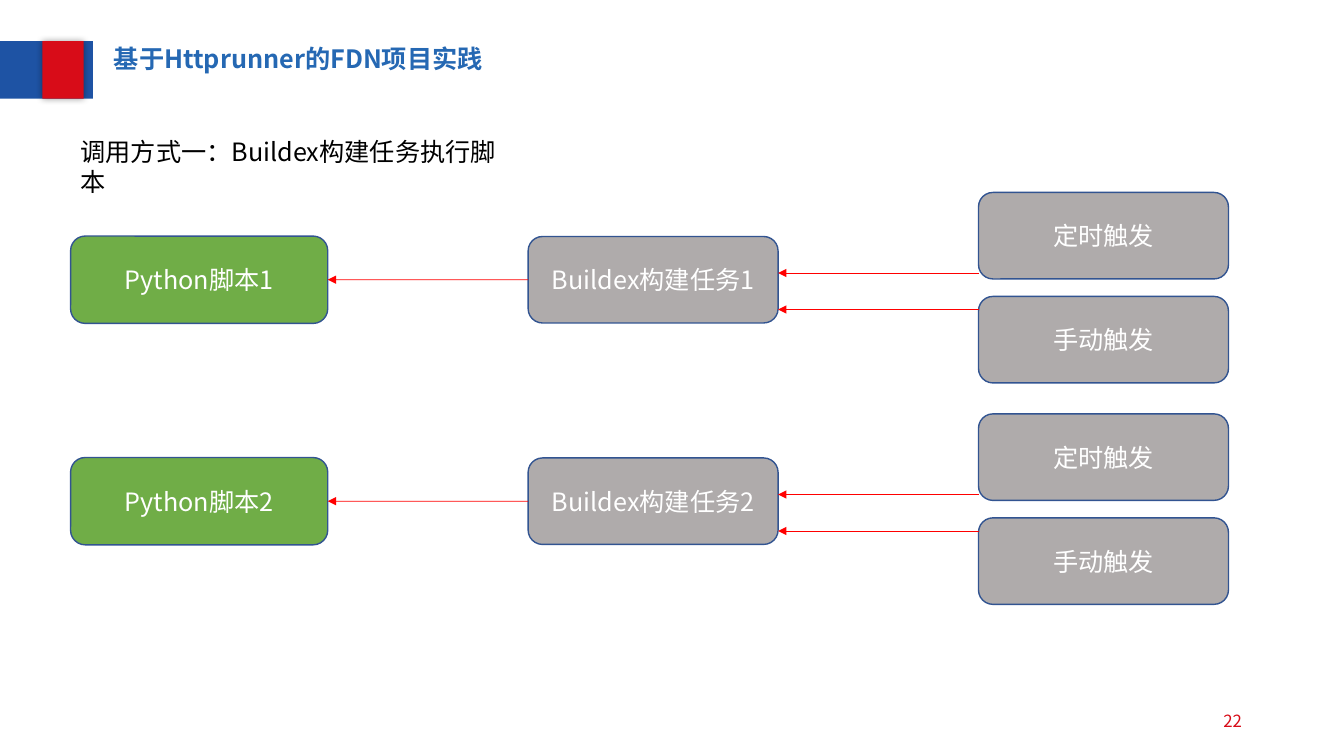
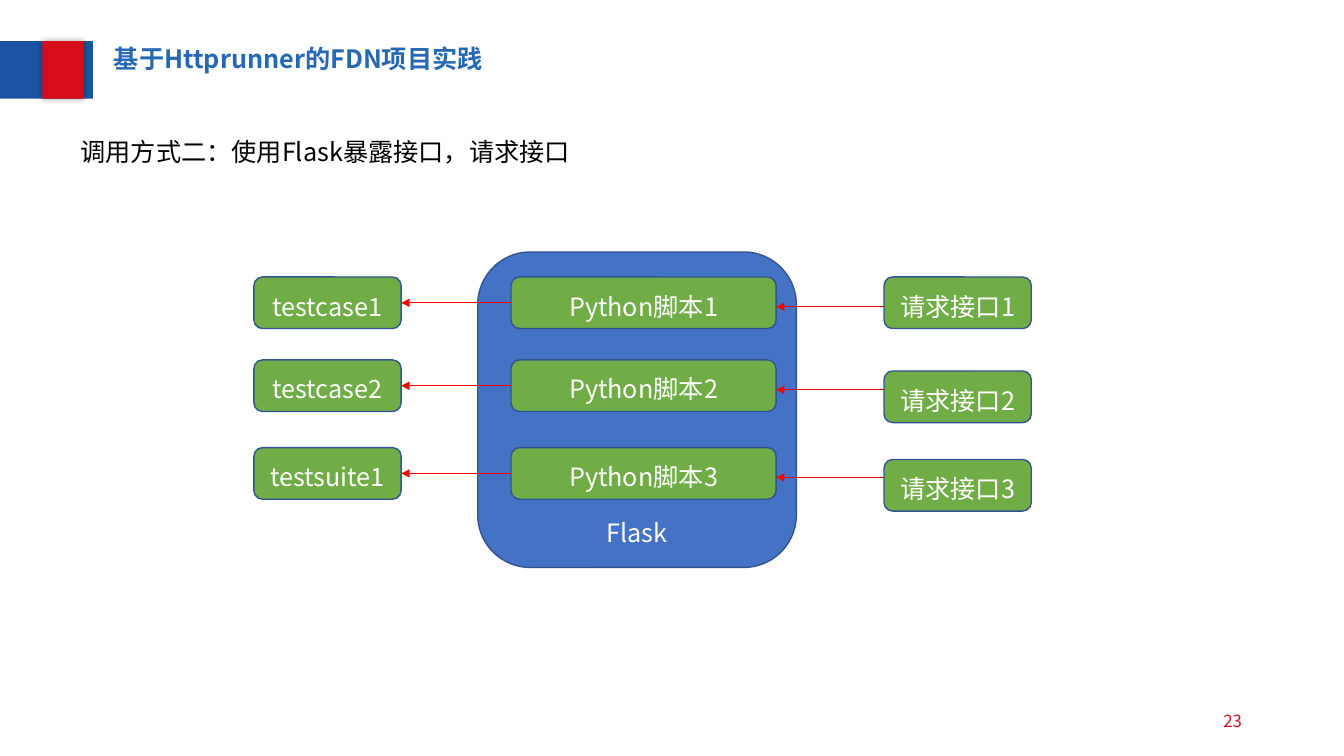
"""Build two slides on ways to call the test scripts of a project."""
import pptx
import pptx.dml.color
import pptx.enum.shapes
import pptx.enum.text
import pptx.oxml
import pptx.oxml.ns
import pptx.util

Cm = pptx.util.Cm
Pt = pptx.util.Pt
Shape = pptx.enum.shapes.MSO_SHAPE
Align = pptx.enum.text.PP_ALIGN
Anchor = pptx.enum.text.MSO_ANCHOR

TITLE = "基于Httprunner的FDN项目实践"
JOB_SLIDE = {
    "number": 22,
    "heading": "调用方式一：Buildex构建任务执行脚本",
    "heading_width": 11.51,
    "rows": [("Python脚本1", "Buildex构建任务1"), ("Python脚本2", "Buildex构建任务2")],
    "triggers": ["定时触发", "手动触发"],
}
SERVICE_SLIDE = {
    "number": 23,
    "heading": "调用方式二：使用Flask暴露接口，请求接口",
    "heading_width": 14.58,
    "service": "Flask",
    "rows": [
        ("testcase1", "Python脚本1", "请求接口1", 6.98, 6.98),
        ("testcase2", "Python脚本2", "请求接口2", 9.07, 9.35),
        ("testsuite1", "Python脚本3", "请求接口3", 11.28, 11.58),
    ],
}
THEME = {
    "font": "Noto Sans CJK SC",
    "body": 18,
    "small": 12,
    "blue": "1E53A4",
    "red": "D80C18",
    "title": "2568B3",
    "text": "000000",
    "white": "FFFFFF",
    "green": "70AD47",
    "gray": "AFABAB",
    "service": "4472C4",
    "outline": "325491",
    "arrow": "FF0000",
}
NAMESPACE = pptx.oxml.ns.nsdecls("a")


def color(name):
    return pptx.dml.color.RGBColor.from_string(THEME[name])


def write(shape, text, ink, size="body", bold=False, align=Align.LEFT, anchor=Anchor.TOP):
    frame = shape.text_frame
    frame.word_wrap = True
    frame.vertical_anchor = anchor
    frame.text = text
    para = frame.paragraphs[0]
    para.alignment = align
    span = para.runs[0]
    span.font.name = THEME["font"]
    span.font.size = Pt(THEME[size])
    span.font.bold = bold
    span.font.color.rgb = color(ink)
    east_asian = pptx.oxml.parse_xml(f'<a:ea {NAMESPACE} typeface="{THEME["font"]}"/>')
    span.font._element.find(pptx.oxml.ns.qn("a:latin")).addnext(east_asian)


def add_text(page, area, text, ink, **style):
    write(page.shapes.add_textbox(*map(Cm, area)), text, ink, **style)


def add_band(page, area, fill):
    band = page.shapes.add_shape(Shape.RECTANGLE, *map(Cm, area))
    band.shadow.inherit = False
    band.fill.solid()
    band.fill.fore_color.rgb = color(fill)
    band.line.fill.background()
    return band


def add_box(page, area, text, fill, anchor=Anchor.MIDDLE):
    box = page.shapes.add_shape(Shape.ROUNDED_RECTANGLE, *map(Cm, area))
    box.shadow.inherit = False
    box.fill.solid()
    box.fill.fore_color.rgb = color(fill)
    box.line.color.rgb = color("outline")
    box.line.width = Pt(1)
    write(box, text, "white", align=Align.CENTER, anchor=anchor)
    return box


def add_arrow(page, start, end, level):
    """Draw an arrow from the left side of start to the right side of end."""
    arrow = page.shapes.add_connector(
        pptx.enum.shapes.MSO_CONNECTOR.STRAIGHT,
        start.left, Cm(level), end.left + end.width, Cm(level))
    arrow.line.color.rgb = color("arrow")
    arrow.line.width = Pt(0.5)
    arrow.line._get_or_add_ln().append(
        pptx.oxml.parse_xml(f'<a:tailEnd {NAMESPACE} type="triangle"/>'))
    arrow._element.spPr.append(pptx.oxml.parse_xml(f"<a:effectLst {NAMESPACE}/>"))
    return arrow


def join(page, start, end, level):
    arrow = add_arrow(page, start, end, level)
    arrow.begin_connect(start, 1)
    arrow.end_connect(end, 3)


def add_page(deck, content):
    page = deck.slides.add_slide(deck.slide_layouts[6])
    add_band(page, (0, 1.04, 2.34, 1.45), "blue")
    accent = add_band(page, (1.07, 1.04, 1.04, 1.45), "red")
    accent._element.spPr.find(pptx.oxml.ns.qn("a:effectLst")).append(pptx.oxml.parse_xml(
        f'<a:outerShdw {NAMESPACE} blurRad="{Pt(5)}" dist="0" dir="0">'
        '<a:srgbClr val="000000"><a:alpha val="40000"/></a:srgbClr></a:outerShdw>'))
    add_text(page, (23.93, 17.65, 7.62, 1.02), str(content["number"]), "red",
             size="small", align=Align.RIGHT, anchor=Anchor.MIDDLE)
    add_text(page, (2.62, 0.97, 10.06, 1.02), TITLE, "title", bold=True)
    add_text(page, (1.78, 3.3, content["heading_width"], 1.02), content["heading"], "text")
    return page


def build_jobs(deck, content):
    page = add_page(deck, content)
    for index, (script_name, job_name) in enumerate(content["rows"]):
        middle = 7.05 + 5.58 * index
        script = add_box(page, (1.78, middle - 1.1, 6.48, 2.2), script_name, "green")
        job = add_box(page, (13.31, middle - 1.09, 6.3, 2.18), job_name, "gray")
        join(page, job, script, middle)
        for order, trigger_name in enumerate(content["triggers"]):
            area = (24.66, middle - 2.2 + 2.62 * order, 6.3, 2.18)
            trigger = add_box(page, area, trigger_name, "gray")
            add_arrow(page, trigger, job, middle - 0.17 + 0.92 * order)


def build_service(deck, content):
    page = add_page(deck, content)
    height = 1.3
    add_box(page, (12.04, 6.35, 8.03, 7.95), content["service"], "service", Anchor.BOTTOM)
    for case_name, script_name, request_name, top, request_top in content["rows"]:
        middle = top + height / 2
        case, script, request = [
            add_box(page, (left, box_top, width, height), name, "green", Anchor.BOTTOM)
            for left, box_top, width, name in [
                (6.4, top, 3.71, case_name),
                (12.88, top, 6.68, script_name),
                (22.28, request_top, 3.71, request_name),
            ]
        ]
        join(page, script, case, middle)
        add_arrow(page, request, script, middle + 0.1)


def main():
    deck = pptx.Presentation()
    deck.slide_width, deck.slide_height = Cm(33.87), Cm(19.05)
    build_jobs(deck, JOB_SLIDE)
    build_service(deck, SERVICE_SLIDE)
    deck.save("out.pptx")


if __name__ == "__main__":
    main()
